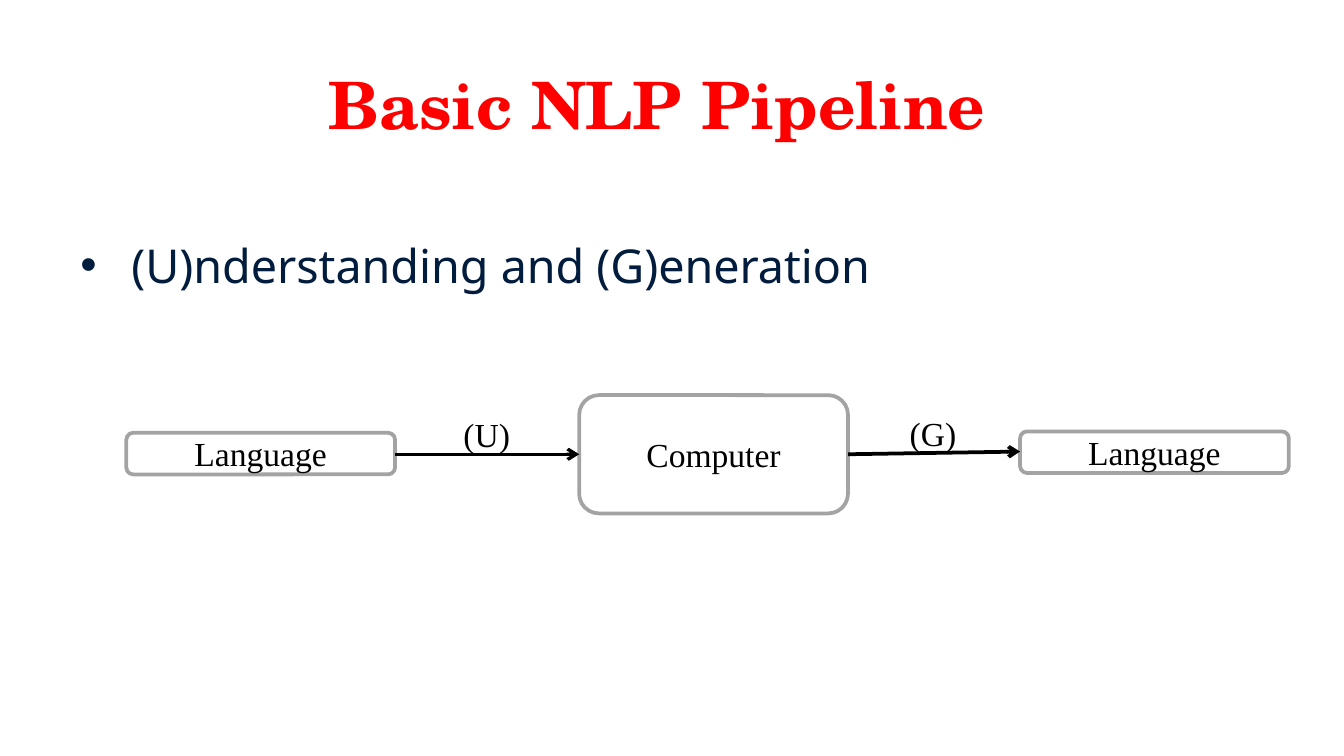
from lxml import etree
from pptx import Presentation
from pptx.dml.color import RGBColor
from pptx.enum.shapes import MSO_CONNECTOR, MSO_SHAPE
from pptx.enum.text import MSO_ANCHOR, PP_ALIGN
from pptx.oxml.ns import qn
from pptx.util import Inches, Pt

RED = RGBColor(0xFF, 0x00, 0x00)
NAVY = RGBColor(0x01, 0x1C, 0x3C)
GRAY = RGBColor(0xA3, 0xA3, 0xA3)
BLACK = RGBColor(0x00, 0x00, 0x00)

TITLE = {"name": "TeX Gyre Schola", "size": Pt(35), "bold": True}
BODY = {"name": "Noto Sans", "size": Pt(25)}
DIAGRAM = {"name": "Times New Roman", "size": Pt(18)}


def write(shape, text, font, color, align=PP_ALIGN.LEFT, anchor=MSO_ANCHOR.TOP, wrap=True):
    frame = shape.text_frame
    frame.word_wrap = wrap
    frame.vertical_anchor = anchor
    para = frame.paragraphs[0]
    para.alignment = align
    span = para.add_run()
    span.text = text
    for name, value in font.items():
        setattr(span.font, name, value)
    span.font.color.rgb = color
    return para


deck = Presentation()
deck.slide_width = Inches(10)
deck.slide_height = deck.slide_width * 9 // 16
page = deck.slides.add_slide(deck.slide_layouts[6])

title = page.shapes.add_textbox(Inches(0.28), Inches(0.43), Inches(9.22), Inches(0.77))
write(title, "Basic NLP Pipeline", TITLE, RED, PP_ALIGN.CENTER)

body = page.shapes.add_textbox(Inches(0.5), Inches(1.71), Inches(9), Inches(2.96))
para = write(body, "(U)nderstanding and (G)eneration", BODY, NAVY)
properties = para._p.get_or_add_pPr()
properties.set("marL", str(Inches(0.38)))
properties.set("indent", str(-Inches(0.38)))
etree.SubElement(properties, qn("a:buFont")).set("typeface", "Arial")
etree.SubElement(properties, qn("a:buChar")).set("char", "•")

# Pipeline stages: text, left, top, height
for text, left, top, height in [
    ("Computer", 4.31, 2.94, 0.88),
    ("Language", 0.94, 3.22, 0.31),
    ("Language", 7.59, 3.21, 0.31),
]:
    box = page.shapes.add_shape(
        MSO_SHAPE.ROUNDED_RECTANGLE, Inches(left), Inches(top), Inches(2), Inches(height))
    box.shadow.inherit = False
    box.fill.background()
    box.line.color.rgb = GRAY
    box.line.width = Pt(2)
    write(box, text, DIAGRAM, BLACK, PP_ALIGN.CENTER, MSO_ANCHOR.MIDDLE)

# Steps between stages: label, label left and top, arrow start x, end x, end y, width
for text, left, top, start_x, end_x, end_y, width in [
    ("(U)", 3.35, 3.03, 2.94, 4.31, 3.38, 1.75),
    ("(G)", 6.67, 3.02, 6.31, 7.59, 3.36, 2),
]:
    arrow = page.shapes.add_connector(
        MSO_CONNECTOR.STRAIGHT, Inches(start_x), Inches(3.38), Inches(end_x), Inches(end_y))
    arrow.line.color.rgb = BLACK
    arrow.line.width = Pt(width)
    etree.SubElement(arrow.line._get_or_add_ln(), qn("a:tailEnd")).set("type", "arrow")
    etree.SubElement(arrow._element.spPr, qn("a:effectLst"))

    label = page.shapes.add_textbox(Inches(left), Inches(top), Inches(0.55), Inches(0.4))
    write(label, text, DIAGRAM, BLACK, wrap=False)

deck.save("out.pptx")
